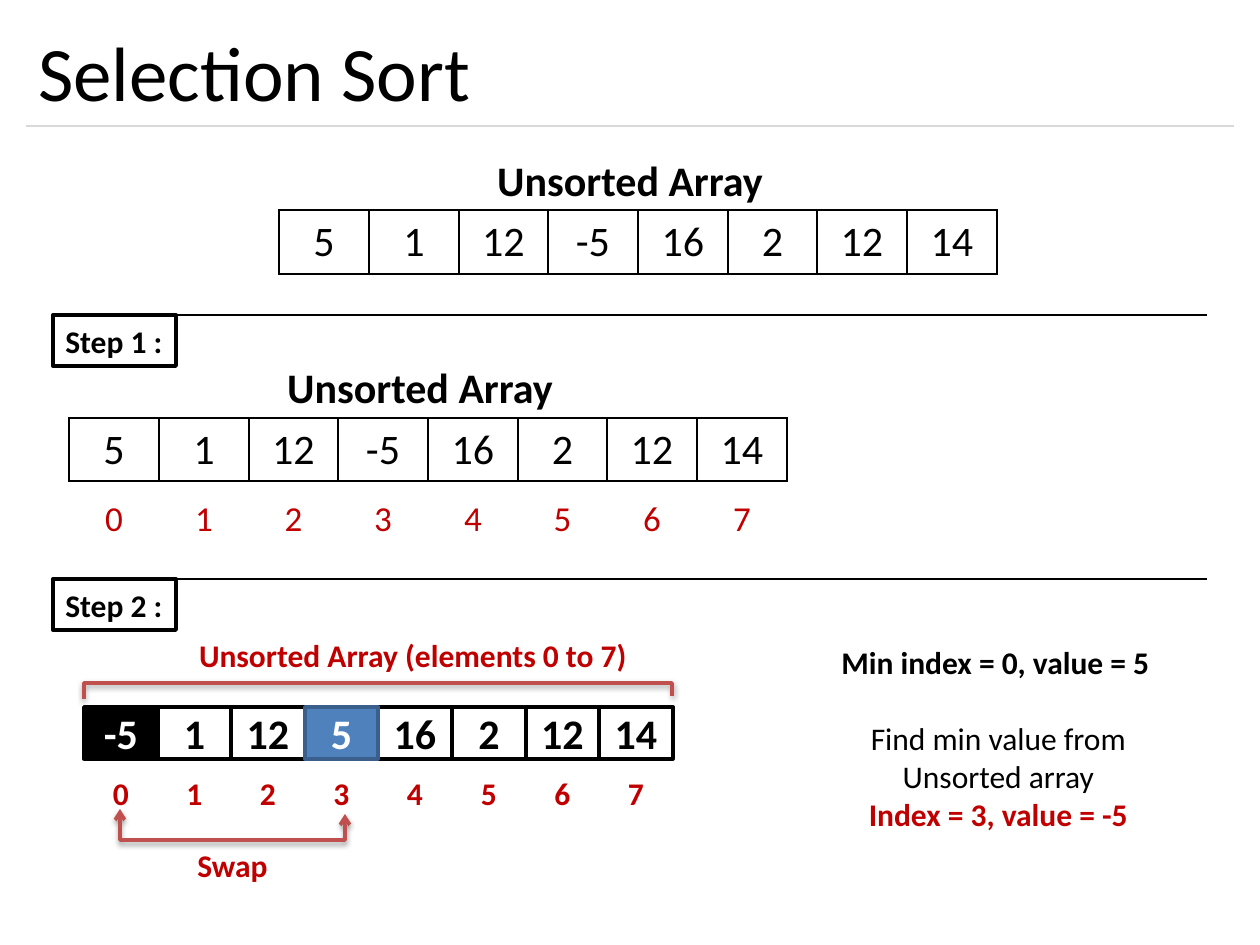
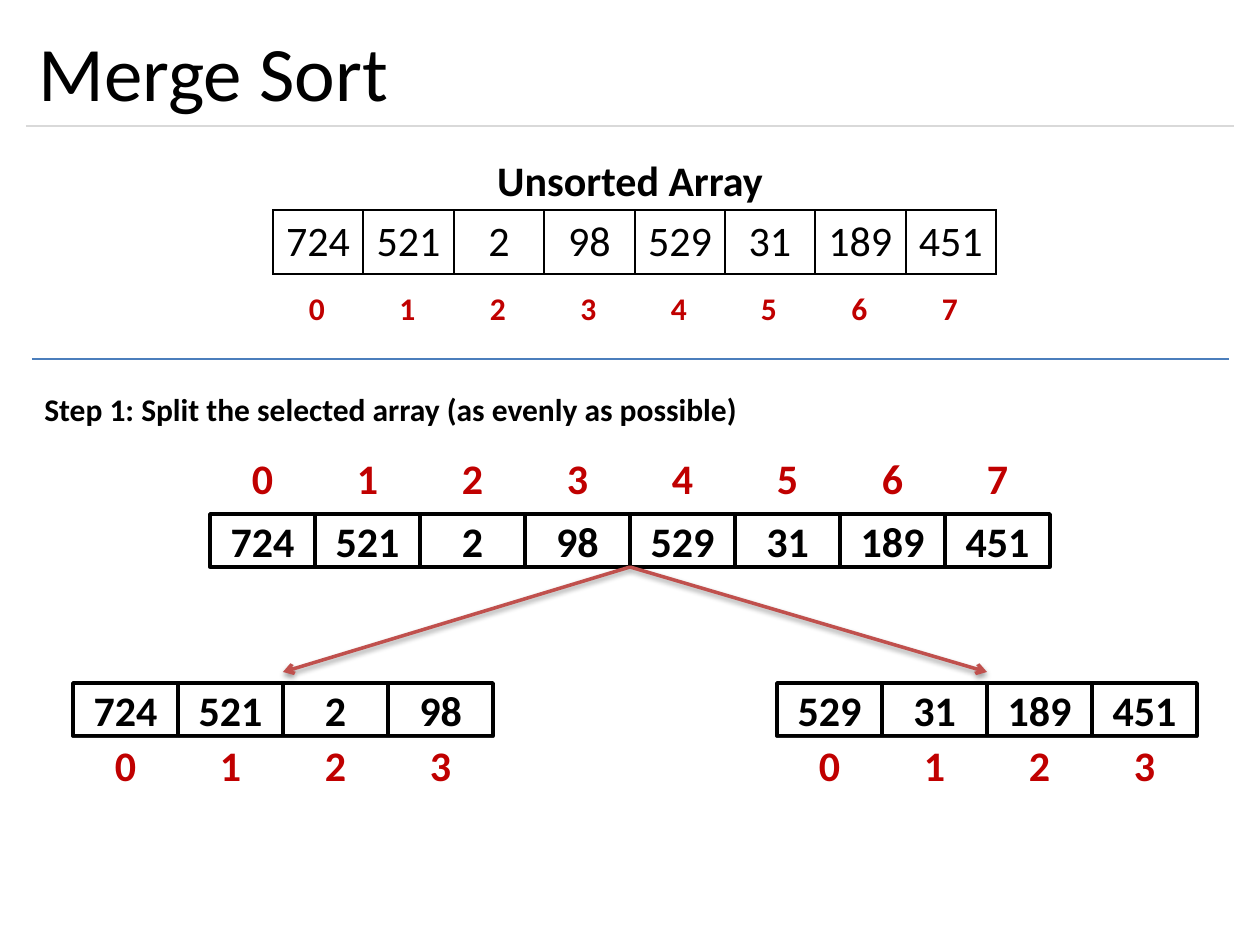
from dataclasses import dataclass, replace
from typing import Optional

from lxml import etree
from pptx import Presentation, util as u
from pptx.dml import color as dml
from pptx.enum import shapes, text
from pptx.oxml import ns

EMU_PER_PX = 914400 / 126
FONT = "Calibri"
BLACK, WHITE, RED = "000000", "FFFFFF", "C00000"
GREY, BLUE, DARK_BLUE, RULE_BLUE, BRICK = "D9D9D9", "4F81BD", "3A5F8C", "4B7EBC", "C0504D"
CENTER, LEFT = text.PP_ALIGN.CENTER, text.PP_ALIGN.LEFT


@dataclass(frozen=True)
class Style:
    size: int
    color: str = BLACK
    bold: bool = True
    align: text.PP_ALIGN = CENTER


@dataclass(frozen=True)
class Frame:
    left: int
    top: int
    width: int
    height: int

    def columns(self, count: int) -> list["Frame"]:
        """Split into equal columns whose edges fall on whole px."""
        edges = [round(self.width * i / count) for i in range(count + 1)]
        return [Frame(self.left + start, self.top, end - start, self.height)
                for start, end in zip(edges, edges[1:])]

    def emu(self) -> list[u.Emu]:
        return [px(side) for side in (self.left, self.top, self.width, self.height)]


@dataclass(frozen=True)
class Paint:
    fill: Optional[str] = None
    line: Optional[str] = None
    line_width: float = 2


TITLE = Style(44, bold=False, align=LEFT)
HEADING = Style(24)
TABLE_VALUE = Style(24, bold=False)
NOTE = Style(18, align=LEFT)
RED_NOTE = Style(18, RED)
RED_INDEX = Style(24, RED)
ELEMENT = Paint(WHITE, BLACK)
INDEX = Paint(WHITE)


def px(length: int) -> u.Emu:
    return u.Emu(round(length * EMU_PER_PX))


def rgb(value: str) -> dml.RGBColor:
    return dml.RGBColor.from_string(value)


def format_para(para, style: Style) -> None:
    para.alignment = style.align
    for span in para.runs:
        span.font.name = FONT
        span.font.size = u.Pt(style.size)
        span.font.bold = style.bold
        span.font.color.rgb = rgb(style.color)


def write(frame, words: str, style: Style) -> None:
    frame.text = words
    for para in frame.paragraphs:
        format_para(para, style)


def add_label(page, area: Frame, words: str, style: Style, wrap: bool = True):
    box = page.shapes.add_textbox(*area.emu())
    box.text_frame.word_wrap = wrap
    write(box.text_frame, words, style)
    return box


def add_box(page, area: Frame, words: str, style: Style, paint: Paint):
    box = page.shapes.add_shape(shapes.MSO_SHAPE.RECTANGLE, *area.emu())
    box.shadow.inherit = False
    if paint.fill:
        box.fill.solid()
        box.fill.fore_color.rgb = rgb(paint.fill)
    else:
        box.fill.background()
    if paint.line:
        box.line.color.rgb = rgb(paint.line)
        box.line.width = u.Pt(paint.line_width)
    else:
        box.line.fill.background()
    box.text_frame.vertical_anchor = text.MSO_ANCHOR.MIDDLE
    write(box.text_frame, words, style)
    return box


def add_box_row(page, area: Frame, values: list, style: Style, paint: Paint,
                highlights: Optional[dict[int, Paint]] = None) -> None:
    """Draw equal boxes side by side, with the highlighted ones on top."""
    highlights = highlights or {}
    cells = area.columns(len(values))
    for i in sorted(range(len(values)), key=lambda index: index in highlights):
        look = replace(style, color=WHITE) if i in highlights else style
        add_box(page, cells[i], str(values[i]), look, highlights.get(i, paint))


def set_borders(cell, color: Optional[str]) -> None:
    """Give all four cell edges a 1 pt line, or none without a colour."""
    props = cell._tc.get_or_add_tcPr()
    for position, side in enumerate(("a:lnL", "a:lnR", "a:lnT", "a:lnB")):
        edge = etree.Element(ns.qn(side), w=str(u.Pt(1)))
        if color:
            fill = etree.SubElement(edge, ns.qn("a:solidFill"))
            etree.SubElement(fill, ns.qn("a:srgbClr"), val=color)
        else:
            etree.SubElement(edge, ns.qn("a:noFill"))
        props.insert(position, edge)


def add_table_row(page, area: Frame, values: list, style: Style,
                  border: Optional[str] = None) -> None:
    table = page.shapes.add_table(1, len(values), *area.emu()).table
    table.first_row = table.horz_banding = False
    for column, place, cell, value in zip(
            table.columns, area.columns(len(values)), table.rows[0].cells, values):
        column.width = px(place.width)
        cell.fill.background()
        set_borders(cell, border)
        write(cell.text_frame, str(value), style)


def set_effects(shape, shadow: bool) -> None:
    """Replace the theme's effects by a soft drop shadow or by nothing."""
    effects = etree.SubElement(shape._element.spPr, ns.qn("a:effectLst"))
    if shadow:
        cast = etree.SubElement(effects, ns.qn("a:outerShdw"), blurRad="40000",
                                dist="20000", dir="5400000", rotWithShape="0")
        tint = etree.SubElement(cast, ns.qn("a:srgbClr"), val=BLACK)
        etree.SubElement(tint, ns.qn("a:alpha"), val="38000")


def style_line(shape, color: str, width: float, arrows: tuple[str, ...] = (),
               shadow: bool = False) -> None:
    shape.line.color.rgb = rgb(color)
    shape.line.width = u.Pt(width)
    for end in arrows:
        etree.SubElement(shape.line._get_or_add_ln(), ns.qn(end), type="arrow")
    set_effects(shape, shadow)


def add_line(page, start: tuple[int, int], end: tuple[int, int]):
    return page.shapes.add_connector(
        shapes.MSO_CONNECTOR.STRAIGHT, *map(px, start + end))


def add_rule(page, left: int, right: int, top: int, color: str) -> None:
    style_line(add_line(page, (left, top), (right, top)), color, 0.75)


def add_bracket(page, points: list[tuple[int, int]], arrows: tuple[str, ...] = ()) -> None:
    builder = page.shapes.build_freeform(*points[0], scale=EMU_PER_PX)
    builder.add_line_segments(points[1:], close=False)
    bracket = builder.convert_to_shape()
    bracket.fill.background()
    style_line(bracket, BRICK, 2, arrows, shadow=True)


def add_step(page, top: int, words: str) -> None:
    add_rule(page, 53, 1207, top, BLACK)
    tag = add_box(page, Frame(53, top, 123, 51), words, NOTE, Paint(line=BLACK, line_width=2.25))
    tag.text_frame.word_wrap = False


def start_page(deck, title: str):
    """Add a page with its title, title rule and the heading of the first array."""
    page = deck.slides.add_slide(deck.slide_layouts[6])
    add_rule(page, 26, 1234, 126, GREY)
    box = add_label(page, Frame(26, 15, 1208, 111), title, TITLE)
    box.text_frame.vertical_anchor = text.MSO_ANCHOR.MIDDLE
    add_label(page, Frame(483, 148, 294, 63), "Unsorted Array", HEADING, wrap=False)
    return page


def add_selection_sort(deck) -> None:
    page = start_page(deck, "Selection Sort")
    values = [5, 1, 12, -5, 16, 2, 12, 14]
    indexes = list(range(len(values)))
    add_table_row(page, Frame(279, 210, 718, 64), values, TABLE_VALUE, BLACK)

    add_step(page, 315, "Step 1 :")
    add_label(page, Frame(273, 355, 294, 63), "Unsorted Array", HEADING, wrap=False)
    add_table_row(page, Frame(69, 418, 718, 63), values, TABLE_VALUE, BLACK)
    add_table_row(page, Frame(69, 492, 718, 55), indexes, Style(20, RED, bold=False))

    add_step(page, 579, "Step 2 :")
    add_label(page, Frame(156, 630, 514, 51), "Unsorted Array (elements 0 to 7)", RED_NOTE)
    add_bracket(page, [(84, 699), (84, 683), (672, 683), (672, 696)])
    swapped = values.copy()
    swapped[0], swapped[3] = values[3], values[0]
    add_box_row(page, Frame(84, 707, 589, 52), swapped, HEADING, ELEMENT,
                {0: Paint(BLACK, BLACK), 3: Paint(BLUE, DARK_BLUE)})
    add_box_row(page, Frame(84, 766, 589, 53), indexes, RED_NOTE, INDEX)
    add_bracket(page, [(120, 809), (120, 840), (345, 840), (345, 814)],
                ("a:headEnd", "a:tailEnd"))
    add_label(page, Frame(170, 840, 125, 51), "Swap", RED_NOTE)

    add_label(page, Frame(829, 637, 336, 51), "Min index = 0, value = 5", NOTE, wrap=False)
    search = add_label(page, Frame(853, 713, 291, 127),
                       "Find min value from\nUnsorted array\nIndex = 3, value = -5",
                       Style(18, bold=False), wrap=False)
    format_para(search.text_frame.paragraphs[-1], RED_NOTE)


def add_merge_sort(deck) -> None:
    page = start_page(deck, "Merge Sort")
    values = [724, 521, 2, 98, 529, 31, 189, 451]
    indexes = list(range(len(values)))
    half = len(values) // 2
    cell_width, cell_height = 105, 53
    add_table_row(page, Frame(273, 210, 723, 64), values, TABLE_VALUE, BLACK)
    add_table_row(page, Frame(272, 284, 723, 52), indexes, RED_NOTE)
    add_rule(page, 32, 1229, 359, RULE_BLUE)

    add_label(page, Frame(32, 384, 746, 51),
              "Step 1: Split the selected array (as evenly as possible)", NOTE)
    whole = Frame(210, 514, cell_width * len(values), cell_height)
    add_box_row(page, whole, values, HEADING, ELEMENT)
    add_box_row(page, replace(whole, top=451), indexes, RED_INDEX, INDEX)

    for left, part in ((73, values[:half]), (777, values[half:])):
        area = Frame(left, 683, cell_width * half, cell_height)
        add_box_row(page, area, part, HEADING, ELEMENT)
        add_box_row(page, replace(area, top=738), indexes[:half], RED_INDEX, INDEX)
        arrow = add_line(page, (630, 567), (left + area.width // 2, 672))
        style_line(arrow, BRICK, 2, ("a:tailEnd",), shadow=True)


def main() -> None:
    deck = Presentation()
    deck.slide_width, deck.slide_height = px(1260), px(945)
    add_selection_sort(deck)
    add_merge_sort(deck)
    deck.save("out.pptx")


if __name__ == "__main__":
    main()
